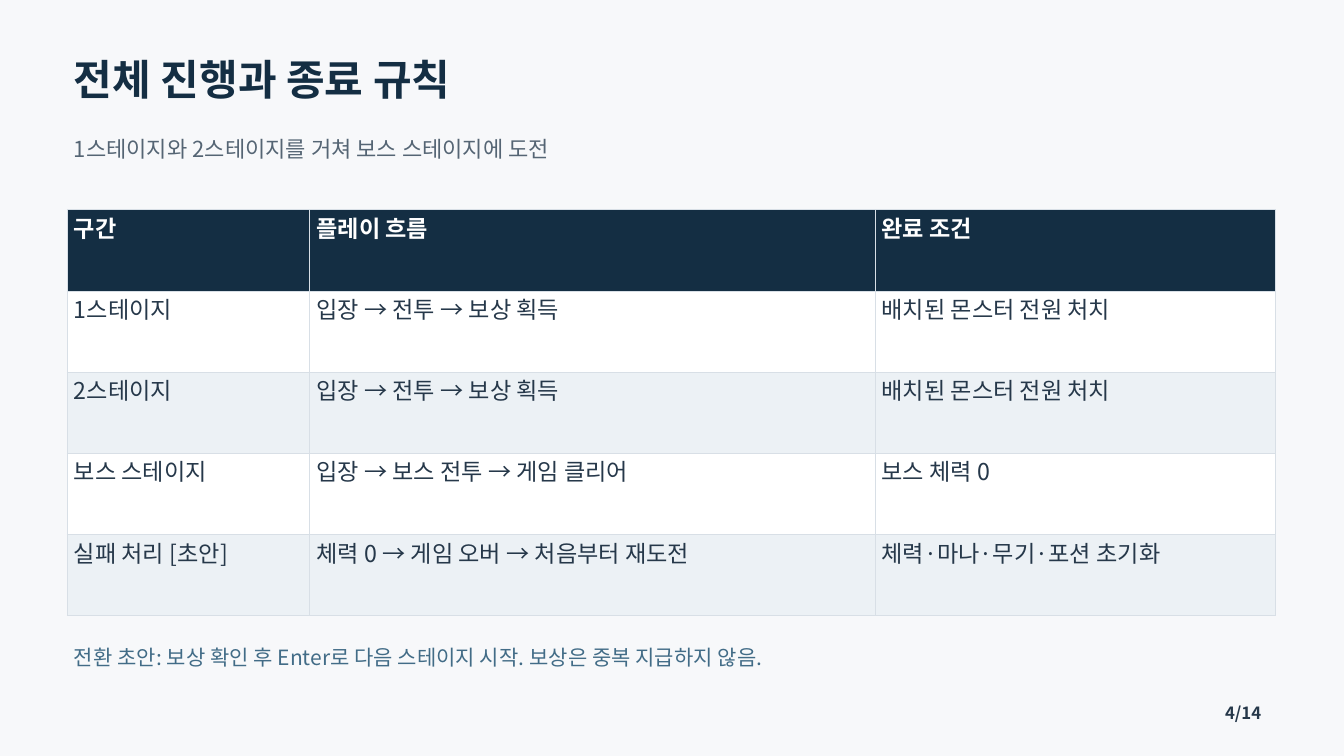
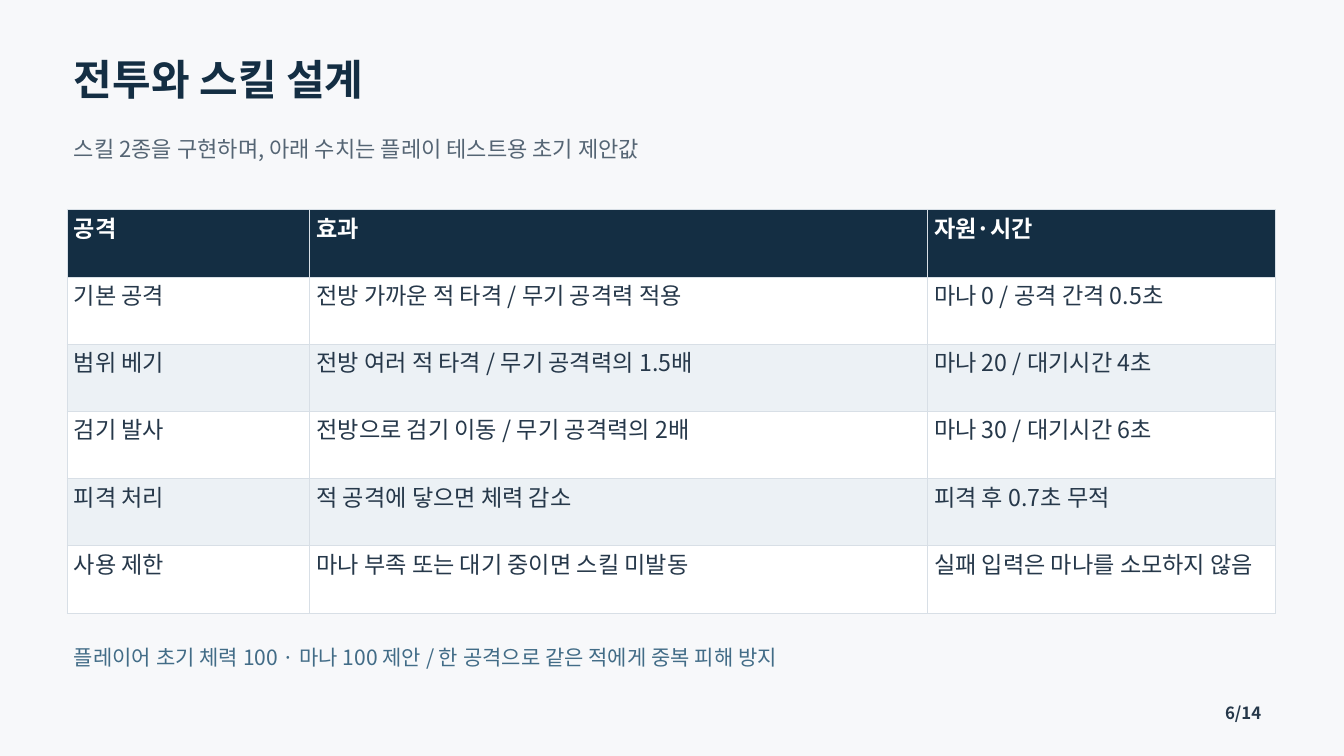
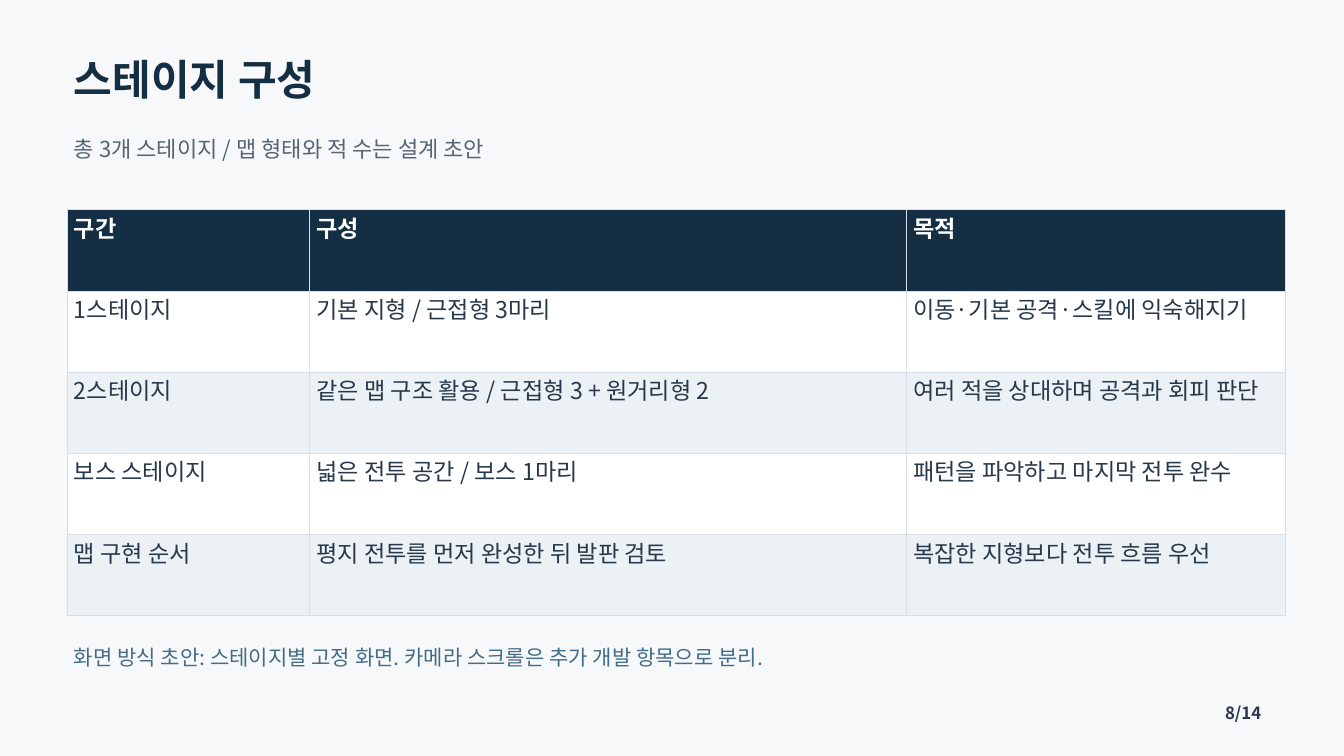
from dataclasses import dataclass

from lxml.etree import SubElement
from pptx import Presentation
from pptx.dml.color import RGBColor
from pptx.enum.text import MSO_AUTO_SIZE
from pptx.oxml.ns import qn
from pptx.util import Inches, Pt

LESSONS = [
    {
        "title": "전체 진행과 종료 규칙",
        "subtitle": "1스테이지와 2스테이지를 거쳐 보스 스테이지에 도전",
        "page": "4/14",
        "columns": (3.61, 8.41, 5.96),
        "height": 6.04,
        "rows": [
            ("구간", "플레이 흐름", "완료 조건"),
            ("1스테이지", "입장 → 전투 → 보상 획득", "배치된 몬스터 전원 처치"),
            ("2스테이지", "입장 → 전투 → 보상 획득", "배치된 몬스터 전원 처치"),
            ("보스 스테이지", "입장 → 보스 전투 → 게임 클리어", "보스 체력 0"),
            ("실패 처리 [초안]", "체력 0 → 게임 오버 → 처음부터 재도전", "체력·마나·무기·포션 초기화"),
        ],
        "remark": "전환 초안: 보상 확인 후 Enter로 다음 스테이지 시작. 보상은 중복 지급하지 않음.",
    },
    {
        "title": "전투와 스킬 설계",
        "subtitle": "스킬 2종을 구현하며, 아래 수치는 플레이 테스트용 초기 제안값",
        "page": "6/14",
        "columns": (3.61, 9.19, 5.18),
        "height": 6,
        "rows": [
            ("공격", "효과", "자원·시간"),
            ("기본 공격", "전방 가까운 적 타격 / 무기 공격력 적용", "마나 0 / 공격 간격 0.5초"),
            ("범위 베기", "전방 여러 적 타격 / 무기 공격력의 1.5배", "마나 20 / 대기시간 4초"),
            ("검기 발사", "전방으로 검기 이동 / 무기 공격력의 2배", "마나 30 / 대기시간 6초"),
            ("피격 처리", "적 공격에 닿으면 체력 감소", "피격 후 0.7초 무적"),
            ("사용 제한", "마나 부족 또는 대기 중이면 스킬 미발동", "실패 입력은 마나를 소모하지 않음"),
        ],
        "remark": "플레이어 초기 체력 100 · 마나 100 제안 / 한 공격으로 같은 적에게 중복 피해 방지",
    },
    {
        "title": "스테이지 구성",
        "subtitle": "총 3개 스테이지 / 맵 형태와 적 수는 설계 초안",
        "page": "8/14",
        "columns": (3.61, 8.88, 5.64),
        "height": 6.04,
        "rows": [
            ("구간", "구성", "목적"),
            ("1스테이지", "기본 지형 / 근접형 3마리", "이동·기본 공격·스킬에 익숙해지기"),
            ("2스테이지", "같은 맵 구조 활용 / 근접형 3 + 원거리형 2", "여러 적을 상대하며 공격과 회피 판단"),
            ("보스 스테이지", "넓은 전투 공간 / 보스 1마리", "패턴을 파악하고 마지막 전투 완수"),
            ("맵 구현 순서", "평지 전투를 먼저 완성한 뒤 발판 검토", "복잡한 지형보다 전투 흐름 우선"),
        ],
        "remark": "화면 방식 초안: 스테이지별 고정 화면. 카메라 스크롤은 추가 개발 항목으로 분리.",
    },
]


@dataclass(frozen=True)
class TextStyle:
    size: float
    leading: float
    color: str
    bold: bool = False


@dataclass(frozen=True)
class Theme:
    font: str = "Noto Sans CJK KR"
    background: str = "F7F8FA"
    header_fill: str = "142E43"
    row_fills: tuple = ("FFFFFF", "ECF1F5")
    border: str = "D8DFE6"
    border_width: float = 0.75
    cell_margin: float = 0.1
    title: TextStyle = TextStyle(45, 54, "142E43", True)
    subtitle: TextStyle = TextStyle(23.6, 28.4, "556574")
    page: TextStyle = TextStyle(18, 21.6, "26384A", True)
    remark: TextStyle = TextStyle(22.5, 27, "426C87")
    header: TextStyle = TextStyle(24.8, 29.7, "FFFFFF", True)
    body: TextStyle = TextStyle(24.8, 29.7, "26384A")


THEME = Theme()
TABLE_LEFT, TABLE_TOP = 1, 3.12
TEXT_PLACES = {
    "title": (1.1, 0.79, 17.77, 0.93),
    "subtitle": (1.1, 2.02, 17.77, 0.75),
    "page": (18.23, 10.45, 0.74, 0.3),
    "remark": (1.1, 9.59, 17.8, 0.6),
}


def write(frame, wording, style):
    frame.text = wording
    paragraph = frame.paragraphs[0]
    paragraph.line_spacing = Pt(style.leading)
    run = paragraph.runs[0]
    run.font.name = THEME.font
    run.font.size = Pt(style.size)
    run.font.bold = style.bold
    run.font.color.rgb = RGBColor.from_string(style.color)
    SubElement(run.font._element, qn("a:ea"), typeface=THEME.font)


def set_margins(owner, margin):
    owner.margin_left = owner.margin_top = Inches(margin)
    owner.margin_right = owner.margin_bottom = Inches(margin)


def add_text(slide, part, wording):
    place = [Inches(length) for length in TEXT_PLACES[part]]
    frame = slide.shapes.add_textbox(*place).text_frame
    set_margins(frame, 0)
    frame.word_wrap = True
    frame.auto_size = MSO_AUTO_SIZE.SHAPE_TO_FIT_TEXT
    write(frame, wording, getattr(THEME, part))


def outline(cell):
    properties = cell._tc.get_or_add_tcPr()
    for side in ("lnL", "lnR", "lnT", "lnB"):
        line = SubElement(properties, qn(f"a:{side}"), w=str(Pt(THEME.border_width)))
        fill = SubElement(line, qn("a:solidFill"))
        SubElement(fill, qn("a:srgbClr"), val=THEME.border)


def add_rules(slide, rows, columns, height):
    table = slide.shapes.add_table(
        len(rows), len(columns), Inches(TABLE_LEFT), Inches(TABLE_TOP),
        Inches(sum(columns)), Inches(height),
    ).table
    for column, width in zip(table.columns, columns):
        column.width = Inches(width)
    for row_index, row in enumerate(rows):
        table.rows[row_index].height = Inches(height / len(rows))
        is_header = row_index == 0
        fill = THEME.header_fill if is_header else THEME.row_fills[(row_index - 1) % 2]
        style = THEME.header if is_header else THEME.body
        for column_index, wording in enumerate(row):
            cell = table.cell(row_index, column_index)
            set_margins(cell, THEME.cell_margin)
            outline(cell)
            cell.fill.solid()
            cell.fill.fore_color.rgb = RGBColor.from_string(fill)
            write(cell.text_frame, wording, style)


def main():
    deck = Presentation()
    deck.slide_width, deck.slide_height = Inches(20), Inches(11.25)
    for lesson in LESSONS:
        slide = deck.slides.add_slide(deck.slide_layouts[6])
        slide.background.fill.solid()
        slide.background.fill.fore_color.rgb = RGBColor.from_string(THEME.background)
        for part in ("title", "subtitle", "page"):
            add_text(slide, part, lesson[part])
        add_rules(slide, lesson["rows"], lesson["columns"], lesson["height"])
        add_text(slide, "remark", lesson["remark"])
    deck.save("out.pptx")


if __name__ == "__main__":
    main()
